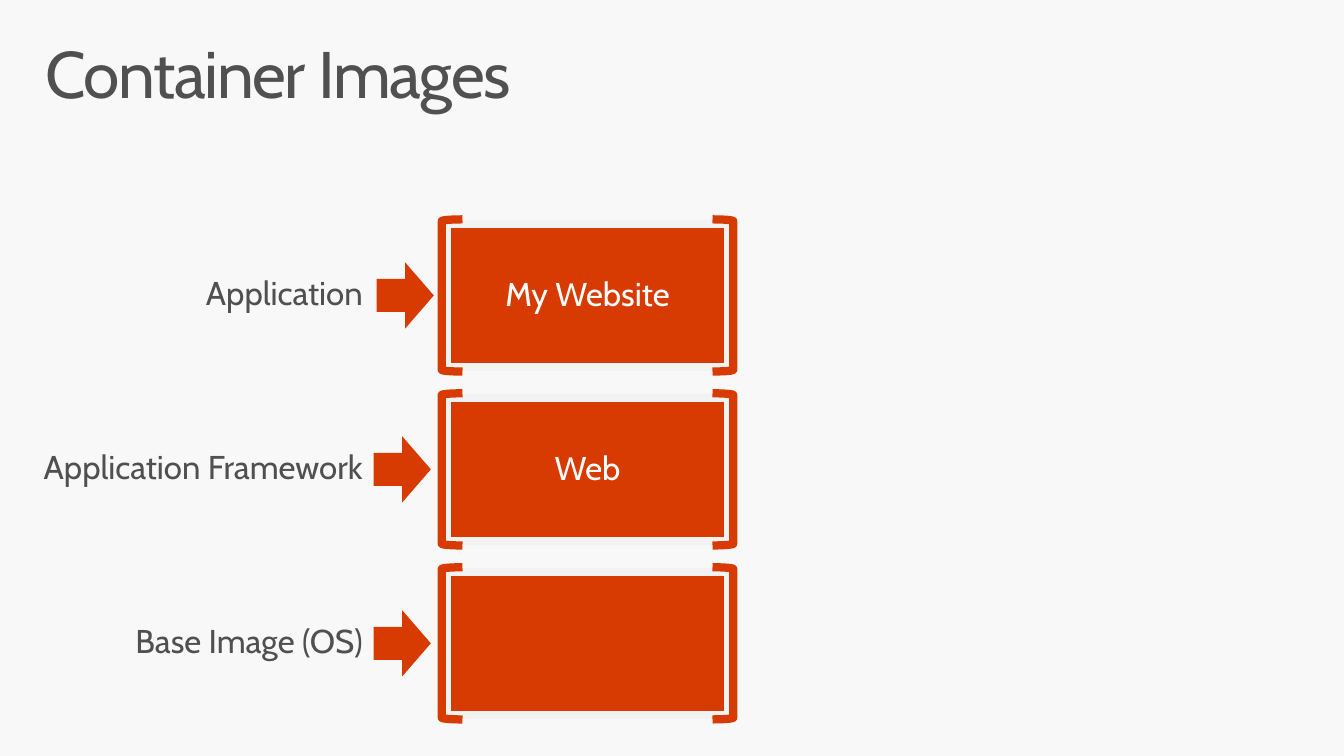
from pptx import Presentation
from pptx.dml.color import RGBColor
from pptx.enum.shapes import MSO_SHAPE as Shape
from pptx.enum.text import MSO_ANCHOR as Anchor, MSO_AUTO_SIZE as AutoSize, PP_ALIGN as Align
from pptx.util import Inches, Pt

COLORS = {"back": "F8F8F8", "text": "505050", "accent": "D83B01", "edge": "F2F2F2", "white": "FFFFFF"}
FONT = "Cabin"
FIRST_ROW, ROW_PITCH = 2.99, 1.76
BOX_LEFT, BOX_W, BOX_H = 4.52, 2.85, 1.45
BRACKET_W, BRACKET_H, BRACKET_OUT = 0.21, 1.54, 0.05
LABEL_RIGHT, LABEL_W, LABEL_H = 3.87, 3.85, 0.69
ARROW_W, ARROW_H = 0.58, 0.67
LAYERS = [
    ("Application", "My Website", 3.81),
    ("Application Framework", "Web", 3.78),
    ("Base Image (OS)", "", 3.78),
]


def color(name):
    """Return the named colour."""
    return RGBColor.from_string(COLORS[name])


def place(left, row, width, height):
    """Return a frame centred vertically on a row."""
    middle = FIRST_ROW + row * ROW_PITCH
    return [Inches(v) for v in (left, middle - height / 2, width, height)]


def set_text(tf, text, size, ink, align, margins):
    """Write one formatted paragraph into a text frame."""
    tf.text = text
    tf.word_wrap = True
    tf.margin_left = tf.margin_right = Inches(margins[0])
    tf.margin_top = tf.margin_bottom = Inches(margins[1])
    p = tf.paragraphs[0]
    p.alignment = align
    p.line_spacing = 0.9
    for r in p.runs:
        r.font.name, r.font.size, r.font.bold = FONT, Pt(size), False
        r.font.color.rgb = color(ink)
    return p


def add_title(s, text):
    """Place and format the slide title."""
    sp = s.shapes.title
    sp.left, sp.top, sp.width, sp.height = [Inches(v) for v in (0.3, 0.32, 13, 1)]
    tf = sp.text_frame
    p = set_text(tf, text, 48, "text", Align.LEFT, (0.16, 0.1))
    p.space_before = Pt(0)
    tf.vertical_anchor = Anchor.TOP
    tf.auto_size = AutoSize.NONE
    p.runs[0].font._element.set("spc", "-100")


def add_shape(shapes, kind, frame, fill=None, line=None):
    """Add a flat preset shape with an optional fill and thick line."""
    sp = shapes.add_shape(kind, *frame)
    sp.shadow.inherit = False
    if fill:
        sp.fill.solid()
        sp.fill.fore_color.rgb = color(fill)
    else:
        sp.fill.background()
    if line:
        sp.line.color.rgb = color(line)
        sp.line.width = Pt(6)
    else:
        sp.line.fill.background()
    return sp


def add_layer(s, row, text):
    """Add a bracketed image layer as a group."""
    shapes = s.shapes.add_group_shape().shapes
    box = add_shape(shapes, Shape.RECTANGLE, place(BOX_LEFT, row, BOX_W, BOX_H), "accent", "edge")
    if text:
        set_text(box.text_frame, text, 24, "white", Align.CENTER, (0.2, 0.16))
        box.text_frame.vertical_anchor = Anchor.MIDDLE
    right = BOX_LEFT + BOX_W + BRACKET_OUT - BRACKET_W
    for kind, left in ((Shape.RIGHT_BRACKET, right), (Shape.LEFT_BRACKET, BOX_LEFT - BRACKET_OUT)):
        add_shape(shapes, kind, place(left, row, BRACKET_W, BRACKET_H), line="accent")


def add_label(s, row, text):
    """Add a right-aligned layer label."""
    tf = s.shapes.add_textbox(*place(LABEL_RIGHT - LABEL_W, row, LABEL_W, LABEL_H)).text_frame
    set_text(tf, text, 24, "text", Align.RIGHT, (0.2, 0.16)).space_after = Pt(6)
    tf.auto_size = AutoSize.SHAPE_TO_FIT_TEXT


def main():
    """Build the container images slide."""
    prs = Presentation()
    prs.slide_width, prs.slide_height = Inches(13.6), Inches(7.65)
    s = prs.slides.add_slide(prs.slide_layouts[5])
    s.background.fill.solid()
    s.background.fill.fore_color.rgb = color("back")
    add_title(s, "Container Images")
    for row, (label, content, arrow_left) in enumerate(LAYERS):
        add_layer(s, row, content)
        add_label(s, row, label)
        add_shape(s.shapes, Shape.RIGHT_ARROW, place(arrow_left, row, ARROW_W, ARROW_H), "accent")
    prs.save("out.pptx")


if __name__ == "__main__":
    main()
